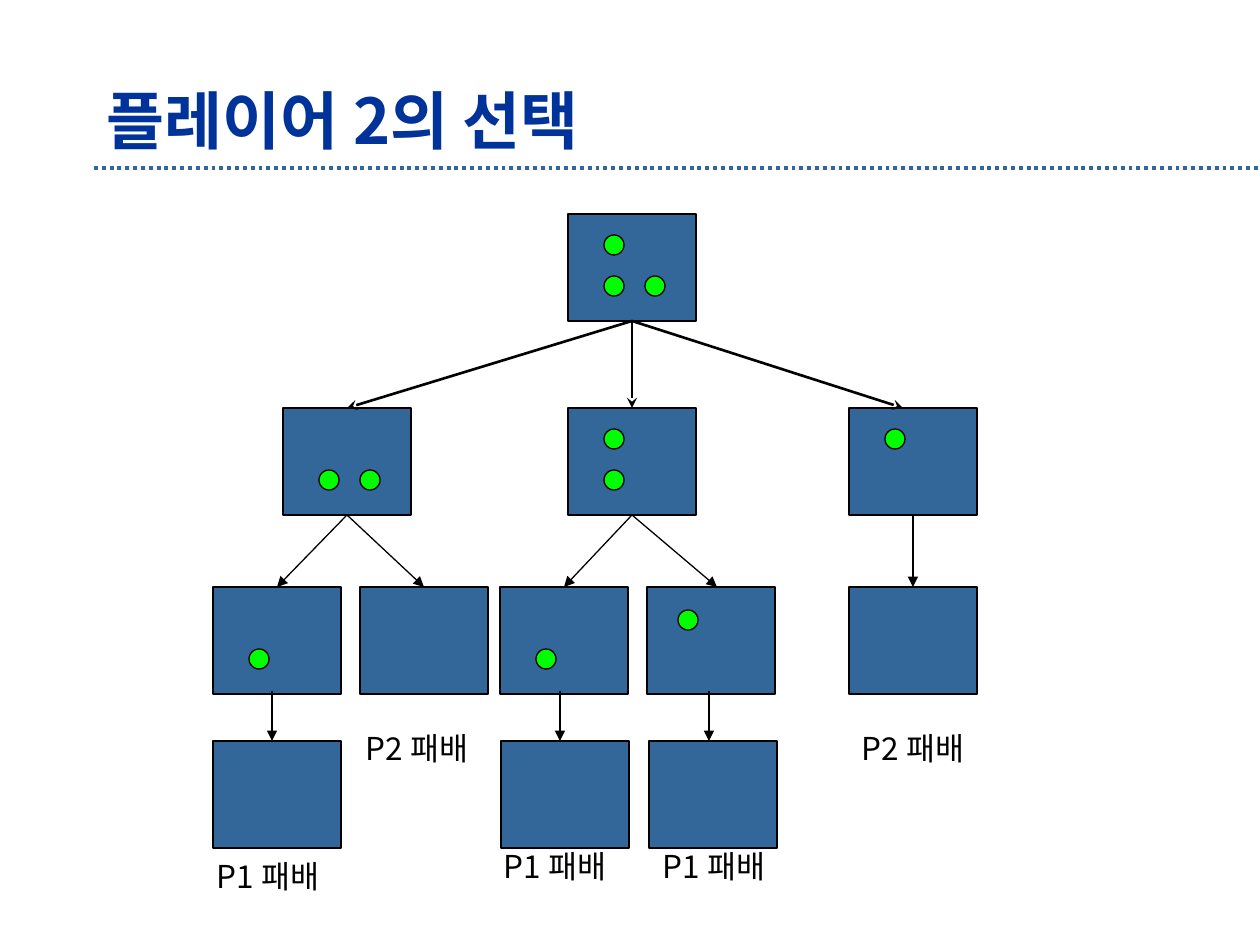
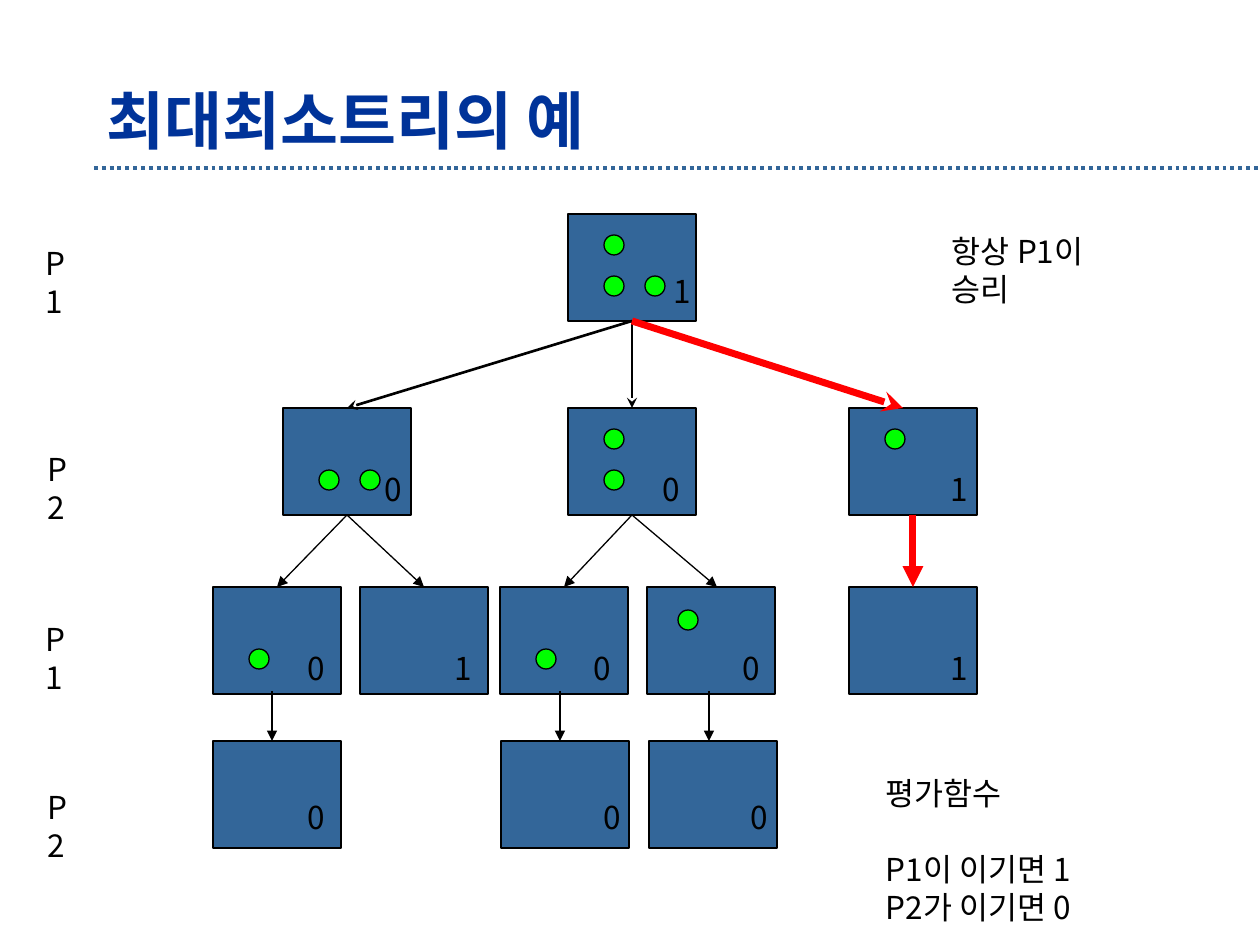
from dataclasses import dataclass

from lxml import etree
from pptx import Presentation
from pptx.dml.color import RGBColor
from pptx.enum.dml import MSO_LINE
from pptx.enum.shapes import MSO_CONNECTOR, MSO_SHAPE
from pptx.enum.text import MSO_ANCHOR
from pptx.oxml.ns import qn
from pptx.util import Emu, Pt

PX_PER_INCH = 126
SLIDE_WIDTH, SLIDE_HEIGHT = 1260, 945


@dataclass(frozen=True)
class Theme:
    font: str = "Noto Sans CJK KR"
    title: str = "003399"
    board: str = "336699"
    stone: str = "00FF00"
    ink: str = "000000"
    win: str = "FF0000"
    title_size: float = 36
    body_size: float = 18
    line_pitch: float = 21.7
    thin: float = 0.75
    medium: float = 1.5
    rule: float = 2.25
    thick: float = 4


# Game tree: name -> (left, top, stones, value, left offset of the value)
BOARD_WIDTH, BOARD_HEIGHT, STONE = 128, 107, 20
TOP_LEFT, BOTTOM_LEFT, BOTTOM_RIGHT = (36, 21), (36, 62), (77, 62)
ROWS = 214, 408, 587, 741
VALUE_OFFSETS = dict(zip(ROWS, (50, 54, 54, 49)))
BOARDS = {
    "root": (568, ROWS[0], [TOP_LEFT, BOTTOM_LEFT, BOTTOM_RIGHT], 1, 92),
    "bottom pair": (283, ROWS[1], [BOTTOM_LEFT, BOTTOM_RIGHT], 0, 89),
    "left pair": (568, ROWS[1], [TOP_LEFT, BOTTOM_LEFT], 0, 82),
    "top single": (849, ROWS[1], [TOP_LEFT], 1, 88),
    "first bottom": (213, ROWS[2], [BOTTOM_LEFT], 0, 81),
    "first empty": (360, ROWS[2], [], 1, 82),
    "second bottom": (500, ROWS[2], [BOTTOM_LEFT], 0, 81),
    "second top": (647, ROWS[2], [(31, 23)], 0, 82),
    "right empty": (849, ROWS[2], [], 1, 88),
    "end 1": (213, ROWS[3], [], 0, 81),
    "end 2": (501, ROWS[3], [], 0, 89),
    "end 3": (649, ROWS[3], [], 0, 89),
}
# A move ends at a board, or at a point beside the middle of its side
FIRST_MOVES = [("root", "bottom pair"), ("root", "left pair"), ("root", (903, 408))]
SECOND_MOVES = [
    ("bottom pair", "first bottom"), ("bottom pair", "first empty"),
    ("left pair", "second bottom"), ("left pair", (717, 587)),
    ("top single", "right empty"),
]
LAST_MOVES = [((x, 691), (x, ROWS[3])) for x in (272, 560, 709)]
WINNING_MOVES = [FIRST_MOVES[-1], SECOND_MOVES[-1]]

LOSSES = [
    ("P2 패배", 353, 721), ("P2 패배", 849, 721),
    ("P1 패배", 204, 849), ("P1 패배", 491, 839), ("P1 패배", 650, 839),
]
TURNS = [("P1", 33, 236), ("P2", 35, 442), ("P1", 33, 612), ("P2", 35, 780)]


def px(length):
    return Emu(round(length * 914400 / PX_PER_INCH))


class Deck:
    def __init__(self, theme):
        self.theme = theme
        self.presentation = Presentation()
        self.presentation.slide_width = px(SLIDE_WIDTH)
        self.presentation.slide_height = px(SLIDE_HEIGHT)
        self.slide = None

    def add_slide(self, title):
        layout = self.presentation.slide_layouts[6]
        self.slide = self.presentation.slides.add_slide(layout)
        rule = self.line((94, 168), (SLIDE_WIDTH, 168), self.theme.board, self.theme.rule)
        rule.line.dash_style = MSO_LINE.ROUND_DOT
        box = self.text(title, 94, 70, 1081, 98, self.theme.title_size,
                        self.theme.title, bold=True)
        box.text_frame.margin_top = box.text_frame.margin_bottom = 0
        box.text_frame.vertical_anchor = MSO_ANCHOR.MIDDLE

    def text(self, text, left, top, width, height, size, color, bold=False, pitch=None):
        box = self.slide.shapes.add_textbox(px(left), px(top), px(width), px(height))
        frame = box.text_frame
        frame.word_wrap = True
        frame.margin_left = frame.margin_right = px(13)
        frame.margin_top = px(8)
        frame.margin_bottom = px(4)
        frame.text = text
        for paragraph in frame.paragraphs:
            if pitch:
                paragraph.line_spacing = Pt(pitch)
            for run in paragraph.runs:
                run.font.size = Pt(size)
                run.font.bold = bold
                run.font.name = self.theme.font
                run.font.color.rgb = RGBColor.from_string(color)
                east_asian = etree.SubElement(run.font._element, qn("a:ea"))
                east_asian.set("typeface", self.theme.font)
        return box

    def label(self, text, left, top, width, height=50):
        return self.text(text, left, top, width, height, self.theme.body_size,
                         self.theme.ink, pitch=self.theme.line_pitch)

    def shape(self, kind, left, top, width, height, fill):
        shape = self.slide.shapes.add_shape(kind, px(left), px(top), px(width), px(height))
        shape.shadow.inherit = False
        shape.fill.solid()
        shape.fill.fore_color.rgb = RGBColor.from_string(fill)
        shape.line.color.rgb = RGBColor.from_string(self.theme.ink)
        shape.line.width = Pt(self.theme.thin)
        return shape

    def board(self, left, top, stones):
        board = self.shape(MSO_SHAPE.RECTANGLE, left, top, BOARD_WIDTH, BOARD_HEIGHT,
                           self.theme.board)
        for across, down in stones:
            self.shape(MSO_SHAPE.OVAL, left + across, top + down, STONE, STONE,
                       self.theme.stone)
        return board

    def line(self, start, end, color, width):
        connector = self.slide.shapes.add_connector(
            MSO_CONNECTOR.STRAIGHT, *(px(length) for length in (*start, *end)))
        connector.line.color.rgb = RGBColor.from_string(color)
        connector.line.width = Pt(width)
        etree.SubElement(connector._element.spPr, qn("a:effectLst"))
        return connector

    def arrow(self, start, end, boards, color, width, head):
        """Run from a board's bottom to a board's top, or between free points."""
        points = []
        for place, drop in ((start, BOARD_HEIGHT), (end, 0)):
            if place in boards:
                left, top = BOARDS[place][:2]
                place = left + BOARD_WIDTH // 2, top + drop
            points.append(place)
        connector = self.line(*points, color, width)
        if start in boards:
            connector.begin_connect(boards[start], 2)
        if end in boards:
            connector.end_connect(boards[end], 0)
        outline = connector.line._get_or_add_ln()
        etree.SubElement(outline, qn("a:tailEnd")).set("type", head)

    def game_tree(self, solved=False):
        boards = {}
        for name, (left, top, stones, value, across) in BOARDS.items():
            boards[name] = self.board(left, top, stones)
            if solved:
                self.label(str(value), left + across, top + VALUE_OFFSETS[top], 44)
        groups = [
            (FIRST_MOVES, self.theme.medium, "stealth"),
            (SECOND_MOVES, self.theme.thin, "triangle"),
            (LAST_MOVES, self.theme.thin, "triangle"),
        ]
        for moves, width, head in groups:
            for move in moves:
                if solved and move in WINNING_MOVES:
                    style = self.theme.win, self.theme.thick
                else:
                    style = self.theme.ink, width
                self.arrow(*move, boards, *style, head)


def main():
    deck = Deck(Theme())

    # Every line of play after the second player's choice
    deck.add_slide("플레이어 2의 선택")
    for text, left, top in LOSSES:
        deck.label(text, left, top, 140)
    deck.game_tree()

    # The same tree with minimax values and the winning line
    deck.add_slide("최대최소트리의 예")
    for text, left, top in TURNS:
        deck.label(text, left, top, 60, 88)
    deck.game_tree(solved=True)
    deck.label("항상 P1이 승리", 939, 224, 220, 88)
    scoring = deck.label("평가함수\nP1이 이기면 1\nP2가 이기면 0", 873, 766, 240, 164)
    scoring.text_frame.paragraphs[1].space_before = Pt(deck.theme.line_pitch)

    deck.presentation.save("out.pptx")


if __name__ == "__main__":
    main()
